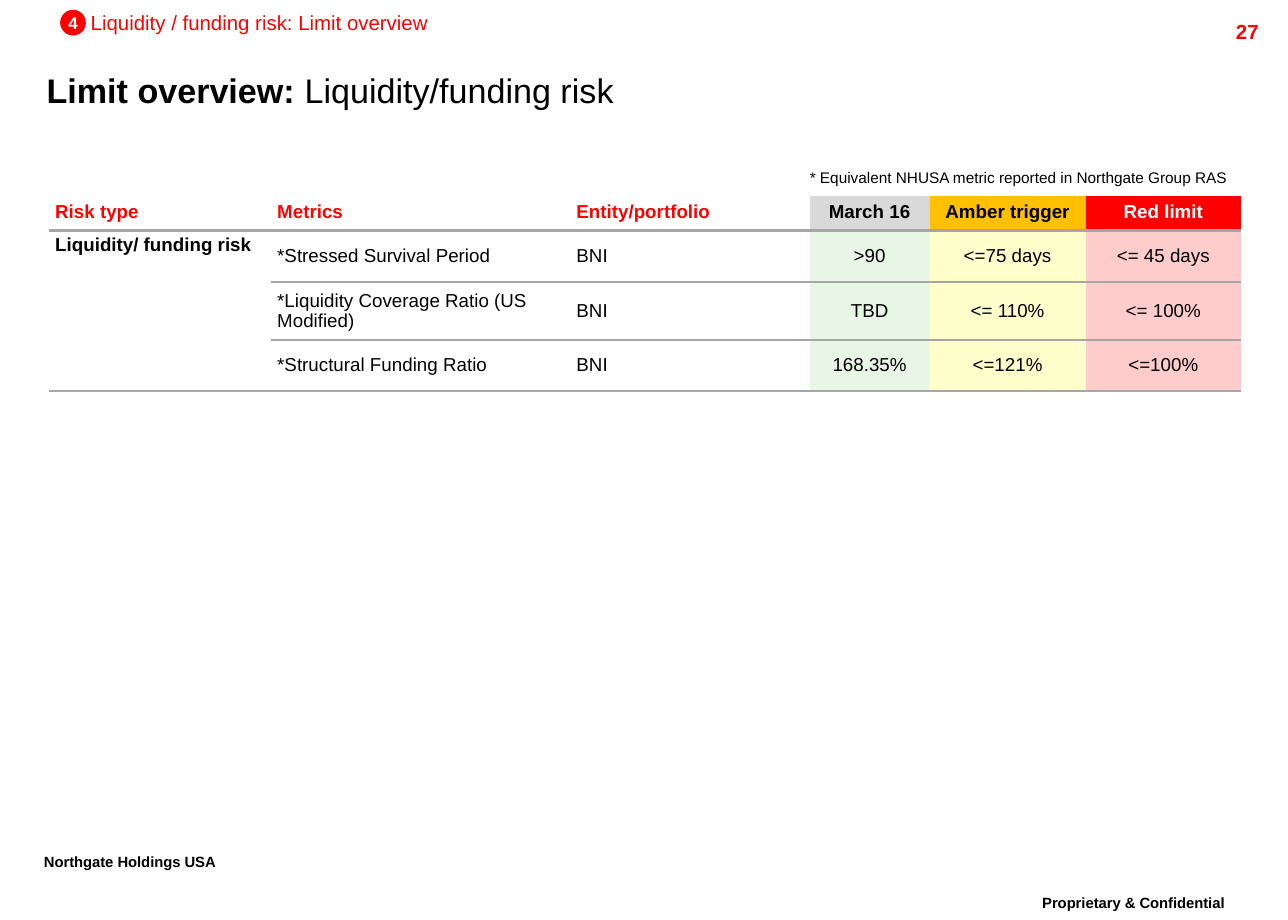
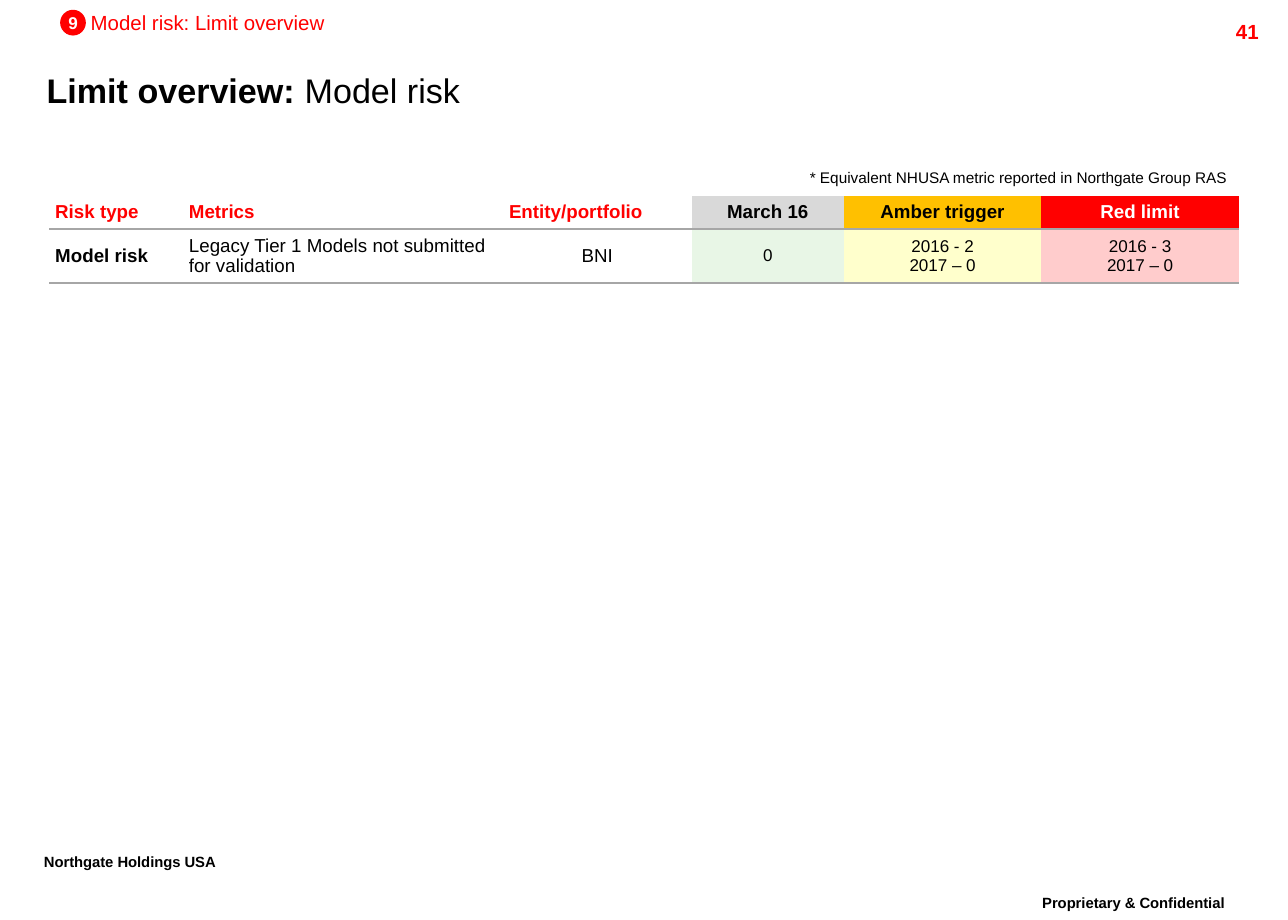
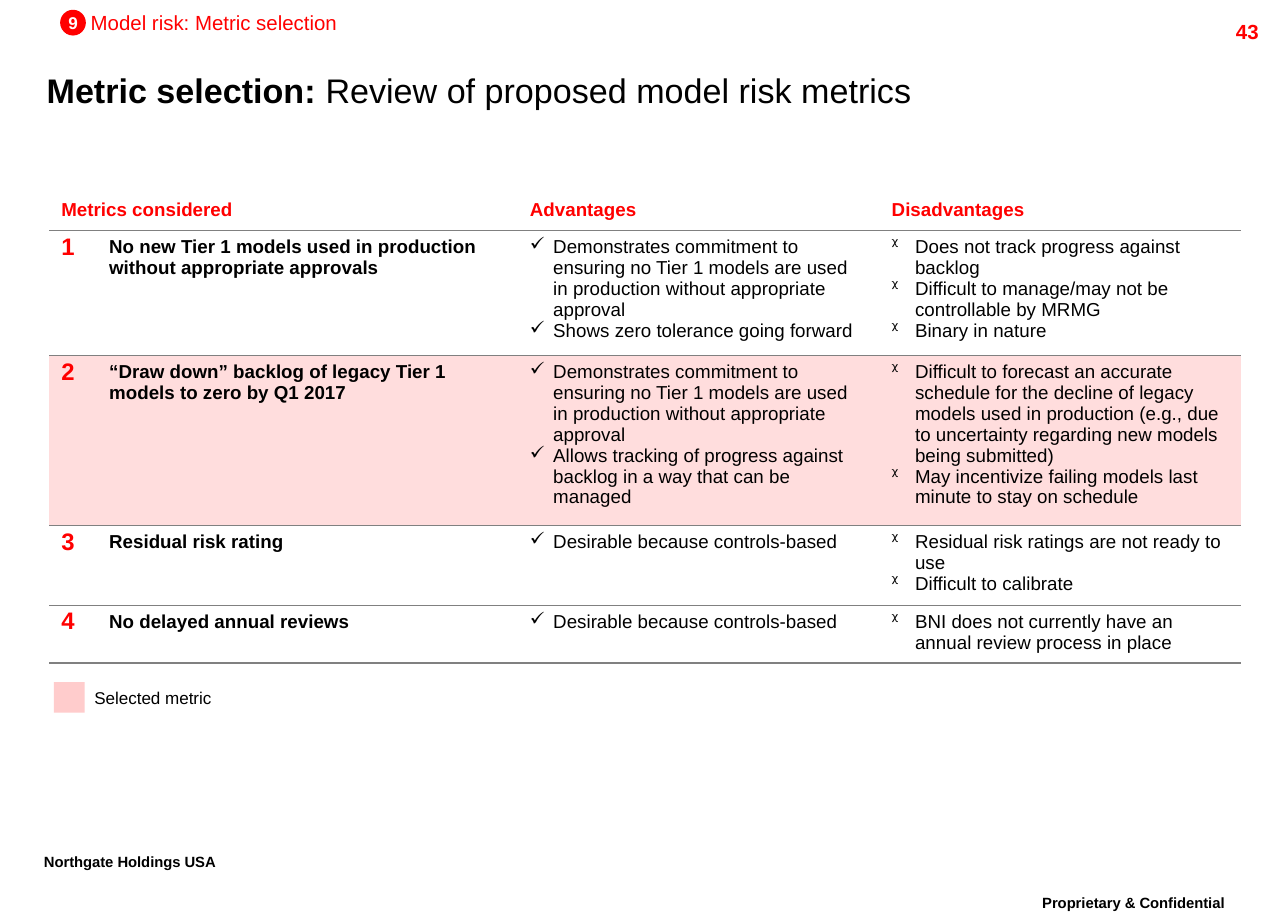
import lxml.etree
import pptx
import pptx.dml.color
import pptx.enum.shapes
import pptx.enum.text
import pptx.oxml.ns
import pptx.util

Inches = pptx.util.Inches
Pt = pptx.util.Pt
RGBColor = pptx.dml.color.RGBColor
PP_ALIGN = pptx.enum.text.PP_ALIGN
MSO_ANCHOR = pptx.enum.text.MSO_ANCHOR
MSO_SHAPE = pptx.enum.shapes.MSO_SHAPE
qn = pptx.oxml.ns.qn

RED = RGBColor(0xFF, 0x00, 0x00)
BLACK = RGBColor(0x00, 0x00, 0x00)
WHITE = RGBColor(0xFF, 0xFF, 0xFF)
GREY = RGBColor(0xD9, 0xD9, 0xD9)
AMBER = RGBColor(0xFF, 0xC0, 0x00)
PALE_GREEN = RGBColor(0xE8, 0xF6, 0xE6)
PALE_YELLOW = RGBColor(0xFF, 0xFF, 0xCC)
PALE_RED = RGBColor(0xFF, 0xCC, 0xCC)
SELECTED = RGBColor(0xFF, 0xDD, 0xDD)
LIMIT_RULE = RGBColor(0xA6, 0xA6, 0xA6)
METRIC_RULE = RGBColor(0x80, 0x80, 0x80)

FONT = "Arial"
NO_STYLE = "{2D5ABB26-0587-4C30-8999-92F81FD0307C}"
LEFT, CENTER, RIGHT = PP_ALIGN.LEFT, PP_ALIGN.CENTER, PP_ALIGN.RIGHT
TOP, MIDDLE = MSO_ANCHOR.TOP, MSO_ANCHOR.MIDDLE
SIDES = ("left", "top", "right", "bottom")
TIGHT = 0.86
FLAT = (0, 0, 0, 0)
NORMAL = (0.1, 0.05, 0.1, 0.05)
COMPACT = (0.05, 0.05, 0.05, 0.05)

HEAD = dict(size=11, color=RED, bold=True, spacing=TIGHT)
BODY = dict(size=11)
STRONG = dict(size=11, bold=True)
NUMBER = dict(size=14, color=RED, bold=True, spacing=TIGHT)
FOOTER = dict(size=15, bold=True, spacing=TIGHT, baseline=30000)


def set_margins(obj, margins):
    for side, value in zip(SIDES, margins):
        setattr(obj, "margin_" + side, Inches(value))


def add_bullet(p, char):
    pPr = p._p.get_or_add_pPr()
    pPr.set("marL", str(Inches(0.19)))
    pPr.set("indent", str(-Inches(0.19)))
    lxml.etree.SubElement(pPr, qn("a:buChar")).set("char", char)


def write(tf, paras, size, color=BLACK, bold=False, align=LEFT, spacing=None,
          bullet=None, baseline=None):
    for i, para in enumerate([paras] if isinstance(paras, str) else paras):
        p = tf.paragraphs[0] if i == 0 else tf.add_paragraph()
        if bullet:
            add_bullet(p, bullet)
        for name, value in dict(alignment=align, line_spacing=spacing).items():
            setattr(p, name, value)
        for text, weight in [(para, bold)] if isinstance(para, str) else para:
            r = p.add_run()
            r.text = text
            for name, value in dict(name=FONT, size=Pt(size), bold=weight).items():
                setattr(r.font, name, value)
            r.font.color.rgb = color
            if baseline:
                r.font._element.set("baseline", str(baseline))


def add_text(slide, box, paras, margins=NORMAL, anchor=TOP, wrap=True, **fmt):
    tf = slide.shapes.add_textbox(*map(Inches, box)).text_frame
    set_margins(tf, margins)
    for name, value in dict(word_wrap=wrap, vertical_anchor=anchor).items():
        setattr(tf, name, value)
    write(tf, paras, **fmt)


def add_block(slide, kind, box, fill):
    sp = slide.shapes.add_shape(kind, *map(Inches, box))
    sp.shadow.inherit = False
    sp.fill.solid()
    sp.fill.fore_color.rgb = fill
    sp.line.fill.background()
    return sp


def add_breadcrumb(slide, box, number, text):
    x, y, w, h = box
    badge = add_block(slide, MSO_SHAPE.OVAL, (x, y, h, h), RED)
    tf = badge.text_frame
    set_margins(tf, FLAT)
    for name, value in dict(word_wrap=False, vertical_anchor=MIDDLE).items():
        setattr(tf, name, value)
    write(tf, number, size=10, color=WHITE, bold=True, align=CENTER)
    add_text(slide, (x + 0.25, y, w - 0.25, h), text, FLAT, wrap=False, size=12, color=RED)


def add_page(prs, page, section, crumb, lead, rest):
    slide = prs.slides.add_slide(prs.slide_layouts[6])
    add_text(slide, (8.15, 7.25, 2.18, 0.35), "Proprietary & Confidential", align=CENTER, **FOOTER)
    add_text(slide, (0.26, 6.91, 1.91, 0.35), "Northgate Holdings USA", **FOOTER)
    add_text(slide, (9.36, 0.11, 1, 0.24), page, size=12, color=RED, bold=True, align=RIGHT)
    add_breadcrumb(slide, (0.49, 0.08, 3.02, 0.21), section, crumb)
    add_text(slide, (0.38, 0.49, 9.48, 0.48), [[(lead + " ", True), (rest, False)]],
             FLAT, MIDDLE, size=20)
    return slide


def add_grid(slide, left, top, cols, rows):
    frame = slide.shapes.add_table(len(rows), len(cols), *map(Inches, (left, top, sum(cols), sum(rows))))
    table = frame.table
    table._tbl.tblPr.find(qn("a:tableStyleId")).text = NO_STYLE
    table.first_row = table.horz_banding = False
    for col, width in zip(table.columns, cols):
        col.width = Inches(width)
    for row, height in zip(table.rows, rows):
        row.height = Inches(height)
    return table


def rule_below(cell, color, width):
    ln = lxml.etree.SubElement(cell._tc.get_or_add_tcPr(), qn("a:lnB"))
    ln.set("w", str(Pt(width)))
    fill = lxml.etree.SubElement(ln, qn("a:solidFill"))
    lxml.etree.SubElement(fill, qn("a:srgbClr")).set("val", str(color))


def fill_cell(cell, paras, margins, anchor=TOP, fill=None, **fmt):
    set_margins(cell, margins)
    cell.vertical_anchor = anchor
    if fill is None:
        cell.fill.background()
    else:
        cell.fill.solid()
        cell.fill.fore_color.rgb = fill
    write(cell.text_frame, paras, **fmt)


def add_limit_table(slide, left, top, cols, heights, risk, metrics, risk_style,
                    entity_align=LEFT, value_size=11):
    add_text(slide, (left + 6.09, top - 0.26, 3.62, 0.23),
             "* Equivalent NHUSA metric reported in Northgate Group RAS",
             wrap=False, size=9, align=CENTER, spacing=TIGHT)
    table = add_grid(slide, left, top, cols, heights)
    last = len(metrics)
    for i in range(last + 1):
        for j in range(len(cols)):
            if j > 0 or i in (0, 1, last):
                rule_below(table.cell(i, j), LIMIT_RULE, 1.5)
    if last > 1:
        table.cell(1, 0).merge(table.cell(last, 0))

    heads = [("Risk type", {}), ("Metrics", {}), ("Entity/portfolio", {}),
             ("March 16", dict(fill=GREY, color=BLACK, align=CENTER)),
             ("Amber trigger", dict(fill=AMBER, color=BLACK, align=CENTER)),
             ("Red limit", dict(fill=RED, color=WHITE, align=CENTER))]
    for j, (text, extra) in enumerate(heads):
        fill_cell(table.cell(0, j), text, COMPACT, MIDDLE, **{**HEAD, **extra})

    fill_cell(table.cell(1, 0), risk, COMPACT, **{**STRONG, **risk_style})
    value = dict(size=value_size, align=CENTER)
    styles = [BODY, dict(size=11, align=entity_align)]
    styles += [dict(value, fill=fill) for fill in (PALE_GREEN, PALE_YELLOW, PALE_RED)]
    for i, texts in enumerate(metrics, 1):
        for j, (text, style) in enumerate(zip(texts, styles), 1):
            margins = (0.05, 0, 0.01, 0) if j == 1 else COMPACT
            fill_cell(table.cell(i, j), text, margins, MIDDLE, **style)


def add_metric_table(slide, left, top, cols, heights, metrics, selected):
    table = add_grid(slide, left, top, cols, heights)
    for i in range(len(heights)):
        for j in range(len(cols)):
            rule_below(table.cell(i, j), METRIC_RULE, 1)
    table.cell(0, 0).merge(table.cell(0, 1))
    for j, text in ((0, "Metrics considered"), (2, "Advantages"), (3, "Disadvantages")):
        fill_cell(table.cell(0, j), text, NORMAL, **HEAD)
    styles = [NUMBER, STRONG, dict(BODY, bullet="✓"), dict(BODY, bullet="ᵡ")]
    for i, texts in enumerate(metrics, 1):
        fill = SELECTED if i == selected else None
        for j, (text, style) in enumerate(zip((str(i), *texts), styles)):
            fill_cell(table.cell(i, j), text, NORMAL, fill=fill, **style)


def add_legend(slide, left, top, size, text):
    add_block(slide, MSO_SHAPE.RECTANGLE, (left, top, size, size), PALE_RED)
    add_text(slide, (left + size + 0.08, top, 1.2, size), text, FLAT, MIDDLE, size=10)


def main():
    prs = pptx.Presentation()
    prs.slide_width, prs.slide_height = Inches(10.5), Inches(7.5)

    slide = add_page(prs, "27", "4", "Liquidity / funding risk: Limit overview",
                     "Limit overview:", "Liquidity/funding risk")
    add_limit_table(
        slide, 0.4, 1.6, (1.81, 2.44, 1.95, 0.98, 1.27, 1.27), (0.28, 0.42, 0.47, 0.42),
        "Liquidity/ funding risk",
        [("*Stressed Survival Period", "BNI", ">90", "<=75 days", "<= 45 days"),
         ("*Liquidity Coverage Ratio (US Modified)", "BNI", "TBD", "<= 110%", "<= 100%"),
         ("*Structural Funding Ratio", "BNI", "168.35%", "<=121%", "<=100%")],
        dict(spacing=TIGHT))

    slide = add_page(prs, "41", "9", "Model risk: Limit overview",
                     "Limit overview:", "Model risk")
    add_limit_table(
        slide, 0.4, 1.6, (1.09, 2.61, 1.54, 1.24, 1.61, 1.61), (0.27, 0.42),
        "Model risk",
        [("Legacy Tier 1 Models not submitted for validation", "BNI", "0",
          ["2016 - 2", "2017 – 0"], ["2016 - 3", "2017 – 0"])],
        dict(anchor=MIDDLE), entity_align=CENTER, value_size=10)

    slide = add_page(prs, "43", "9", "Model risk: Metric selection",
                     "Metric selection:", "Review of proposed model risk metrics")
    commitment = ("Demonstrates commitment to ensuring no Tier 1 models are used in "
                  "production without appropriate approval")
    controls = "Desirable because controls-based"
    add_metric_table(
        slide, 0.4, 1.6, (0.39, 3.43, 2.95, 2.95), (0.28, 1.02, 1.38, 0.65, 0.47),
        [("No new Tier 1 models used in production without appropriate approvals",
          [commitment, "Shows zero tolerance going forward"],
          ["Does not track progress against backlog",
           "Difficult to manage/may not be controllable by MRMG",
           "Binary in nature"]),
         ("“Draw down” backlog of legacy Tier 1 models to zero by Q1 2017",
          [commitment,
           "Allows tracking of progress against backlog in a way that can be managed"],
          ["Difficult to forecast an accurate schedule for the decline of legacy models "
           "used in production (e.g., due to uncertainty regarding new models being submitted)",
           "May incentivize failing models last minute to stay on schedule"]),
         ("Residual risk rating", [controls],
          ["Residual risk ratings are not ready to use", "Difficult to calibrate"]),
         ("No delayed annual reviews", [controls],
          ["BNI does not currently have an annual review process in place"])],
        selected=2)
    add_legend(slide, 0.44, 5.56, 0.25, "Selected metric")

    prs.save("out.pptx")


if __name__ == "__main__":
    main()
